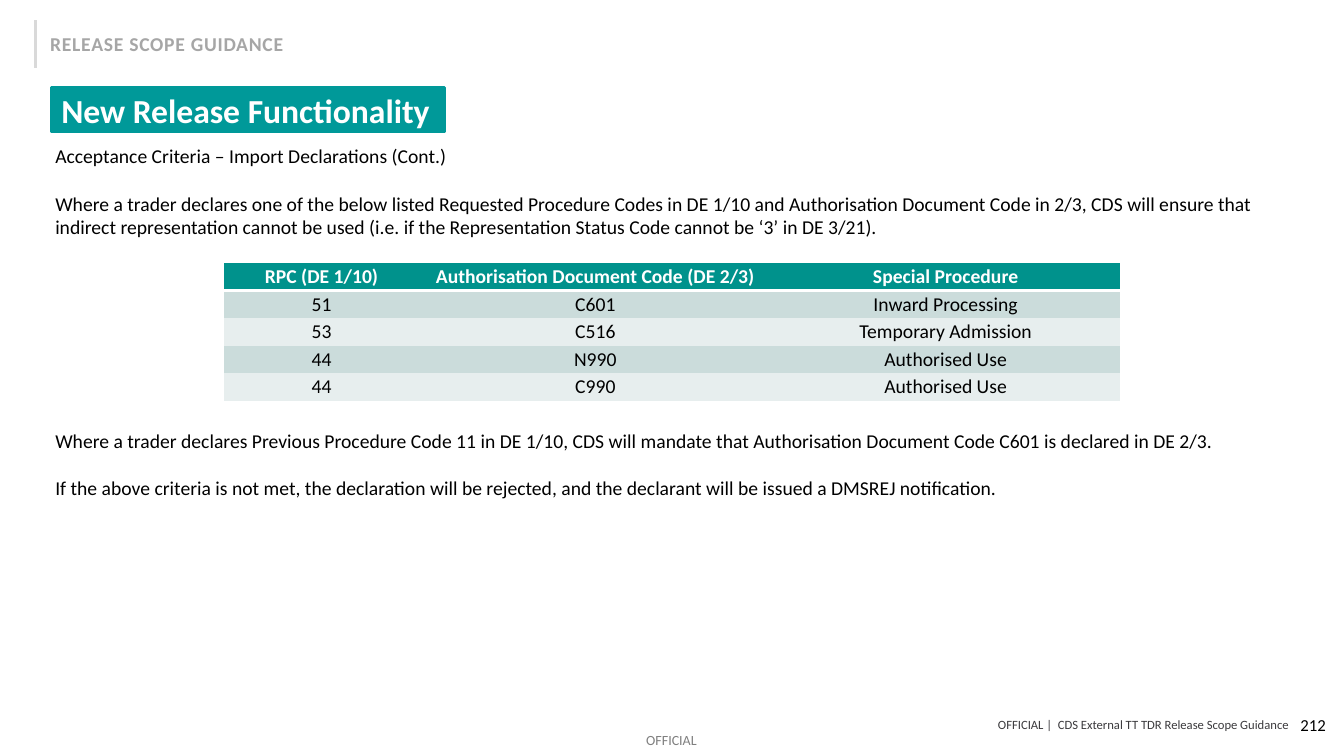
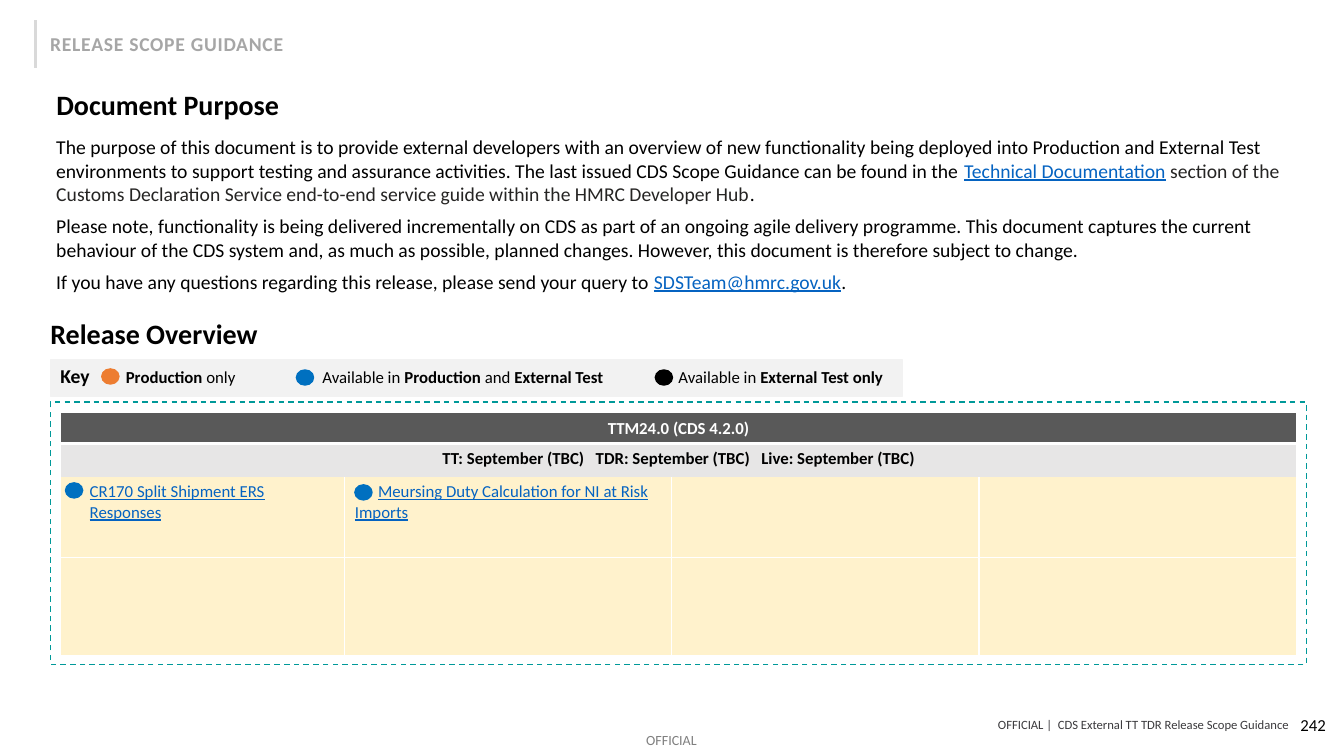
from dataclasses import dataclass

from lxml.etree import SubElement
from pptx import Presentation
from pptx.dml.color import RGBColor
from pptx.enum.dml import MSO_LINE as Dash
from pptx.enum.shapes import MSO_CONNECTOR as Connector, MSO_SHAPE as Shape
from pptx.enum.text import MSO_ANCHOR as Anchor, PP_ALIGN as Align
from pptx.oxml.ns import qn
from pptx.util import Inches, Pt


@dataclass(frozen=True)
class Theme:
    font: str = "Calibri"
    black: str = "000000"
    white: str = "FFFFFF"
    teal: str = "009999"
    header_teal: str = "00928C"
    band_dark: str = "CBDCDB"
    band_light: str = "E7EEEE"
    rule: str = "D9D9D9"
    section: str = "A6A6A6"
    footer: str = "3B3A3D"
    marking: str = "7F7F7F"
    link: str = "0563C1"
    soft_black: str = "252423"
    key_band: str = "F2F2F2"
    release: str = "595959"
    dates: str = "E7E6E6"
    feature: str = "FFF2CC"
    orange: str = "ED7D31"
    blue: str = "0070C0"
    title: int = 24
    heading: int = 20
    body: int = 14
    small: int = 12
    official: int = 10
    foot: int = 9


T = Theme()
NO_STYLE_NO_GRID = "{2D5ABB26-0587-4C30-8999-92F81FD0307C}"
SPACING = {"wide": 50, "gap": 540, "narrow gap": 200}
RUN_COLORS = {"link": T.link, "soft": T.soft_black}


def write(frame, paragraphs, size=T.body, color=T.black, bold=False,
          align=Align.LEFT, anchor=Anchor.TOP, wrap=True, after=0):
    frame.word_wrap = wrap
    frame.vertical_anchor = anchor
    for index, runs in enumerate(paragraphs):
        paragraph = frame.add_paragraph() if index else frame.paragraphs[0]
        paragraph.alignment = align
        paragraph.space_after = Pt(after)
        for text, style in runs:
            run = paragraph.add_run()
            run.text = text
            run.font.name = T.font
            run.font.size = Pt(size)
            run.font.bold = bold or style == "bold"
            run.font.underline = style == "link"
            run.font.color.rgb = RGBColor.from_string(RUN_COLORS.get(style, color))
            if style in SPACING:
                run.font._element.set("spc", str(SPACING[style]))


def draw(slide, kind, box, fill, line, width=1):
    shape = slide.shapes.add_shape(kind, *map(Inches, box))
    shape.shadow.inherit = False
    if fill:
        shape.fill.solid()
        shape.fill.fore_color.rgb = RGBColor.from_string(fill)
    else:
        shape.fill.background()
    shape.line.color.rgb = RGBColor.from_string(line)
    shape.line.width = Pt(width)
    return shape


deck = Presentation()
deck.slide_width = Inches(13.33)
deck.slide_height = Inches(7.5)

slides = []
for number in ("212", "242"):
    slide = deck.slides.add_slide(deck.slide_layouts[6])
    slides.append(slide)
    rule = slide.shapes.add_connector(
        Connector.STRAIGHT, Inches(0.35), Inches(0.2), Inches(0.35), Inches(0.67))
    rule.line.color.rgb = RGBColor.from_string(T.rule)
    rule.line.width = Pt(2.25)
    SubElement(rule._element.spPr, qn("a:effectLst"))

    section = slide.shapes.add_textbox(*map(Inches, (0.4, 0.27, 2.54, 0.34)))
    write(section.text_frame, [[("RELEASE SCOPE GUIDANCE", "wide")]],
          color=T.section, bold=True, wrap=False)
    page = slide.shapes.add_textbox(*map(Inches, (10.25, 6.99, 3, 0.4)))
    write(page.text_frame, [[(number, "")]], T.small,
          align=Align.RIGHT, anchor=Anchor.MIDDLE)

    footer = slide.shapes.add_textbox(*map(Inches, (3.22, 7.11, 9.56, 0.16)))
    write(footer.text_frame,
          [[("OFFICIAL |", ""), (" ", "narrow gap"),
            ("CDS External TT TDR Release Scope Guidance", "")]],
          T.foot, T.footer, align=Align.RIGHT, anchor=Anchor.MIDDLE)
    marking = slide.shapes.add_textbox(*map(Inches, (6.41, 7.26, 0.53, 0.17)))
    write(marking.text_frame, [[("OFFICIAL", "")]], T.official, T.marking, wrap=False)
    for frame in (footer.text_frame, marking.text_frame):
        frame.margin_left = frame.margin_right = 0
        frame.margin_top = frame.margin_bottom = 0

criteria_slide, overview_slide = slides

title = draw(criteria_slide, Shape.RECTANGLE, (0.51, 0.87, 3.9, 0.44), T.teal, T.teal, 2)
write(title.text_frame, [[("New Release Functionality", "")]], T.title, T.white,
      bold=True, anchor=Anchor.MIDDLE)

criteria = criteria_slide.shapes.add_textbox(*map(Inches, (0.45, 1.38, 12.34, 4.11)))
write(criteria.text_frame, [
    [("Acceptance Criteria – Import Declarations (Cont.)", "")],
    [("Where a trader declares one of the below listed Requested Procedure Codes in "
      "DE 1/10 and Authorisation Document Code in 2/3, CDS will ensure that indirect "
      "representation cannot be used (i.e. if the Representation Status Code cannot "
      "be ‘3’ in DE 3/21).", "")],
    [("Where a trader declares Previous Procedure Code 11 in DE 1/10, CDS will mandate "
      "that Authorisation Document Code C601 is declared in DE 2/3.", "")],
    [("If the above criteria is not met, the declaration will be rejected, and the "
      "declarant will be issued a DMSREJ notification.", "")],
])
BLANK_LINE = 17
for paragraph, lines in zip(criteria.text_frame.paragraphs[1:], (1, 8, 1)):
    paragraph.space_before = Pt(BLANK_LINE * lines)

draw(overview_slide, Shape.RECTANGLE, (0.5, 3.57, 8.45, 0.36), T.key_band, T.key_band)
release_frame = draw(overview_slide, Shape.RECTANGLE, (0.5, 3.99, 12.46, 2.6), None, T.teal)
release_frame.line.dash_style = Dash.DASH

for heading, left, top in (("Document Purpose", 0.46, 0.82), ("Release Overview", 0.4, 3.09)):
    box = overview_slide.shapes.add_textbox(*map(Inches, (left, top, 9.18, 0.44)))
    write(box.text_frame, [[(heading, "")]], T.heading, bold=True)

purpose = overview_slide.shapes.add_textbox(*map(Inches, (0.46, 1.29, 12.34, 1.68)))
write(purpose.text_frame, [
    [("The purpose of this document is to provide external developers with an overview "
      "of new functionality being deployed into Production and External Test "
      "environments to support testing and assurance activities. The last issued CDS "
      "Scope Guidance can be found in the ", ""),
     ("Technical Documentation", "link"),
     (" section of the Customs Declaration Service end-to-end service guide within "
      "the HMRC Developer Hub", "soft"),
     (".", "")],
    [("Please note, functionality is being delivered incrementally on CDS as part of an "
      "ongoing agile delivery programme. This document captures the current behaviour "
      "of the CDS system and, as much as possible, planned changes. However, this "
      "document is therefore subject to change.", "")],
    [("If you have any questions regarding this release, please send your query to ", ""),
     ("SDSTeam@hmrc.gov.uk", "link"), (".", "")],
], after=6)

key = overview_slide.shapes.add_textbox(*map(Inches, (0.5, 3.56, 0.54, 0.34)))
write(key.text_frame, [[("Key", "")]], bold=True, wrap=False)
availability = [
    (1.15, 2.87, [("Production", "bold"), (" only", "")]),
    (3.1, 3.31, [("Available in ", ""), ("Production", "bold"), (" and ", ""),
                 ("External Test", "bold")]),
    (6.63, 5.11, [("Available in ", ""), ("External Test only", "bold")]),
]
for left, width, runs in availability:
    label = overview_slide.shapes.add_textbox(*map(Inches, (left, 3.59, width, 0.3)))
    write(label.text_frame, [runs], T.small)

procedures = [
    ("51", "C601", "Inward Processing"),
    ("53", "C516", "Temporary Admission"),
    ("44", "N990", "Authorised Use"),
    ("44", "C990", "Authorised Use"),
]
procedure_rows = [(0.27, T.header_teal, T.white, True, 3, [
    [(head, "")] for head in
    ("RPC (DE 1/10)", "Authorisation Document Code (DE 2/3)", "Special Procedure")])]
for index, procedure in enumerate(procedures):
    procedure_rows.append((0.27, (T.band_dark, T.band_light)[index % 2], T.black, False, 0,
                           [[(text, "")] for text in procedure]))

release_dates = [("TT: September (TBC)", ""), (" ", "gap"), ("TDR: September (TBC)", ""),
                 (" ", "gap"), ("Live: September (TBC)", "")]
release_rows = [
    (0.3, T.release, T.white, True, 3, [[("TTM24.0 (CDS 4.2.0)", "")]]),
    (0.34, T.dates, T.black, True, 1, [release_dates]),
]
feature_rows = [
    (0.8, T.feature, T.black, False, 1, [
        [("CR170 Split Shipment ERS Responses", "link")],
        [("Meursing Duty Calculation for NI at Risk Imports", "link")], [], []]),
    (0.97, T.feature, T.black, False, 1, [[], [], [], []]),
]

tables = [
    (criteria_slide, 2.22, 2.61, (1.94, 3.49, 3.46), procedure_rows,
     T.body, Align.CENTER, Anchor.MIDDLE, (0.03, 0.02), 0),
    (overview_slide, 0.6, 4.1, (12.26,), release_rows,
     T.small, Align.CENTER, Anchor.TOP, (0.1, 0.05), 1),
    (overview_slide, 0.6, 4.73, (2.82, 3.24, 3.05, 3.15), feature_rows,
     T.small, Align.LEFT, Anchor.TOP, (0.1, 0.05), 1),
]
for slide, left, top, widths, rows, size, align, anchor, margins, side in tables:
    height = sum(row[0] for row in rows)
    table = slide.shapes.add_table(
        len(rows), len(widths), *map(Inches, (left, top, sum(widths), height))).table
    table._tbl.tblPr.find(qn("a:tableStyleId")).text = NO_STYLE_NO_GRID
    table.first_row = table.horz_banding = False
    for column, width in zip(table.columns, widths):
        column.width = Inches(width)
    for row, (height, fill, color, bold, bottom, texts) in zip(table.rows, rows):
        row.height = Inches(height)
        for cell, runs in zip(row.cells, texts):
            cell.margin_left = cell.margin_right = Inches(margins[0])
            cell.margin_top = cell.margin_bottom = Inches(margins[1])
            write(cell.text_frame, [runs], size, color, bold, align)
            cell.vertical_anchor = anchor
            properties = cell._tc.get_or_add_tcPr()
            for edge, weight in (("lnL", side), ("lnR", side), ("lnB", bottom)):
                if weight:
                    border = SubElement(properties, qn(f"a:{edge}"), w=str(Pt(weight)))
                    SubElement(SubElement(border, qn("a:solidFill")),
                               qn("a:srgbClr"), val=T.white)
            cell.fill.solid()
            cell.fill.fore_color.rgb = RGBColor.from_string(fill)

split_shipment, meursing_duty = table.cell(0, 0), table.cell(0, 1)
split_shipment.margin_left = Inches(0.29)
first_line = meursing_duty.text_frame.paragraphs[0]._p.get_or_add_pPr()
first_line.set("marL", "0")
first_line.set("indent", str(Inches(0.23)))

dots = [(1.01, 3.66, T.orange), (2.94, 3.67, T.blue), (6.5, 3.67, T.black),
        (0.65, 4.79, T.blue), (3.52, 4.81, T.blue)]
for left, top, color in dots:
    draw(overview_slide, Shape.OVAL, (left, top, 0.17, 0.15), color, color)

deck.save("out.pptx")
